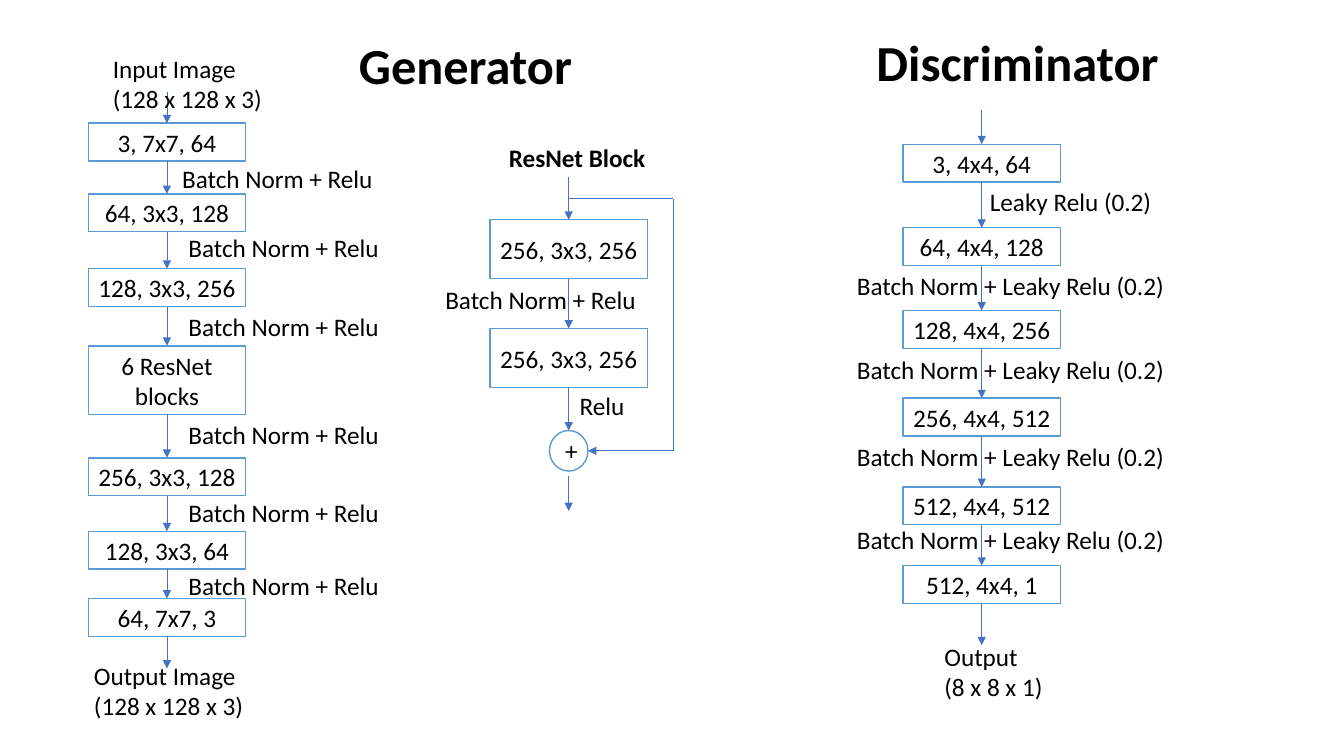
from collections import namedtuple

from lxml import etree
from pptx import Presentation
from pptx.dml.color import RGBColor
from pptx.enum.shapes import MSO_CONNECTOR, MSO_SHAPE
from pptx.enum.text import MSO_ANCHOR, MSO_AUTO_SIZE, PP_ALIGN
from pptx.oxml.ns import qn
from pptx.util import Pt

BLACK = RGBColor(0x00, 0x00, 0x00)
WHITE = RGBColor(0xFF, 0xFF, 0xFF)
OUTLINE = RGBColor(0x5B, 0x9B, 0xD5)
ARROW = RGBColor(0x44, 0x72, 0xC4)

RECTANGLE, OVAL = MSO_SHAPE.RECTANGLE, MSO_SHAPE.OVAL
STRAIGHT = MSO_CONNECTOR.STRAIGHT
MIDDLE, CENTER = MSO_ANCHOR.MIDDLE, PP_ALIGN.CENTER
GROW = MSO_AUTO_SIZE.SHAPE_TO_FIT_TEXT
TOP_SIDE, BOTTOM_SIDE = 0, 2

BODY = {"name": "Calibri", "size": Pt(18), "bold": False}
SUBTITLE = {**BODY, "bold": True}
TITLE = {**SUBTITLE, "size": Pt(36)}

LAYER_WIDTH, LAYER_HEIGHT = 112.5, 27
NORM_RELU = "Batch Norm + Relu"
NORM_LEAKY = "Batch Norm + Leaky Relu (0.2)"

Box = namedtuple("Box", "left top")


def style_text(para, look):
    """Apply font format values to a paragraph."""
    for name, value in look.items():
        setattr(para.font, name, value)
    para.font.color.rgb = BLACK


def add_label(page, box, text, left, top, width, height=29, look=BODY):
    """Write a text box at an offset from the region's corner."""
    label = page.shapes.add_textbox(
        Pt(box.left + left), Pt(box.top + top), Pt(width), Pt(height))
    frame = label.text_frame
    frame.word_wrap = True
    frame.auto_size = GROW
    frame.text = text
    style_text(frame.paragraphs[0], look)


def add_node(page, box, kind, text, left, top, width, height):
    """Draw an outlined node with centred text."""
    node = page.shapes.add_shape(
        kind, Pt(box.left + left), Pt(box.top + top), Pt(width), Pt(height))
    node.shadow.inherit = False
    node.fill.solid()
    node.fill.fore_color.rgb = WHITE
    node.line.color.rgb = OUTLINE
    node.line.width = Pt(1)
    frame = node.text_frame
    frame.word_wrap = True
    frame.vertical_anchor = MIDDLE
    frame.text = text
    para = frame.paragraphs[0]
    para.alignment = CENTER
    style_text(para, BODY)
    return node


def add_line(page, box, start, end, arrow=True):
    """Draw a thin line between two offsets in the region."""
    line = page.shapes.add_connector(
        STRAIGHT, Pt(box.left + start[0]), Pt(box.top + start[1]),
        Pt(box.left + end[0]), Pt(box.top + end[1]))
    line.line.color.rgb = ARROW
    line.line.width = Pt(0.5)
    if arrow:
        outline = line.line._get_or_add_ln()
        etree.SubElement(outline, qn("a:tailEnd"), type="triangle")
    etree.SubElement(line._element.spPr, qn("a:effectLst"))
    return line


def add_layers(page, box, left, layers, entry, leave):
    """Stack layers of (text, top, height) and join them with arrows."""
    middle = left + LAYER_WIDTH / 2
    nodes = [add_node(page, box, RECTANGLE, text, left, top, LAYER_WIDTH, height)
             for text, top, height in layers]
    starts = [entry] + [top + height for _, top, height in layers]
    ends = [top for _, top, _ in layers] + [leave]
    for start, end, above, below in zip(
            starts, ends, [None] + nodes, nodes + [None]):
        line = add_line(page, box, (middle, start), (middle, end))
        if above:
            line.begin_connect(above, BOTTOM_SIDE)
        if below:
            line.end_connect(below, TOP_SIDE)


def draw_generator(page, box):
    """Draw the generator column with its title."""
    layers = [("3, 7x7, 64", 68, LAYER_HEIGHT),
              ("64, 3x3, 128", 118.5, LAYER_HEIGHT),
              ("128, 3x3, 256", 172, LAYER_HEIGHT),
              ("6 ResNet blocks", 227, 49),
              ("256, 3x3, 128", 307, LAYER_HEIGHT),
              ("128, 3x3, 64", 359.5, LAYER_HEIGHT),
              ("64, 7x7, 3", 407.5, LAYER_HEIGHT)]
    add_layers(page, box, 3, layers, 46, 457.5)
    add_label(page, box, NORM_RELU, 63, 93, 168)
    for top in (142.7, 199, 276, 332, 384):
        add_label(page, box, NORM_RELU, 67.5, top, 168)
    add_label(page, box, "Input Image (128 x 128 x 3)", 13.5, 14.5, 134, 51)
    add_label(page, box, "Output Image (128 x 128 x 3)", 0, 448, 134, 51)
    add_label(page, box, "Generator", 189.3, 1, 297, 51, TITLE)


def draw_resnet_block(page, box):
    """Draw the residual block with its bypass."""
    left, circle_width, circle_height = 40, 27.5, 29
    middle = left + LAYER_WIDTH / 2
    circle_left, circle_top = middle - circle_width / 2, 212.5
    circle_middle = circle_top + circle_height / 2
    bypass_top, bypass_right = 47, 171
    layers = [("256, 3x3, 256", top, 42) for top in (62, 139.7)]
    add_layers(page, box, left, layers, 31.7, circle_top)
    add_node(page, box, OVAL, "+", circle_left, circle_top,
             circle_width, circle_height)
    bypass = [(middle, bypass_top), (bypass_right, bypass_top),
              (bypass_right, circle_middle),
              (circle_left + circle_width, circle_middle)]
    for start, end in zip(bypass, bypass[1:]):
        add_line(page, box, start, end, arrow=end == bypass[-1])
    add_line(page, box, (middle, 245), (middle, 270))
    add_label(page, box, NORM_RELU, 1, 104.4, 168)
    add_label(page, box, "Relu", 97, 180, 52.5)
    add_label(page, box, "ResNet Block", 46.4, 3, 150, look=SUBTITLE)


def draw_discriminator(page, box):
    """Draw the discriminator column with its title."""
    layers = [("3, 4x4, 64", 85, LAYER_HEIGHT),
              ("64, 4x4, 128", 144.7, LAYER_HEIGHT),
              ("128, 4x4, 256", 203.8, LAYER_HEIGHT),
              ("256, 4x4, 512", 266.4, LAYER_HEIGHT),
              ("512, 4x4, 512", 329.8, LAYER_HEIGHT),
              ("512, 4x4, 1", 386, LAYER_HEIGHT)]
    add_layers(page, box, 40, layers, 60.5, 442.8)
    add_label(page, box, "Leaky Relu (0.2)", 95, 111.6, 132)
    for top in (171.4, 231.8, 293.8, 352.8):
        add_label(page, box, NORM_LEAKY, 0, top, 240.5)
    add_label(page, box, "Output\v(8 x 8 x 1)", 62.5, 436.3, 88, 51)
    add_label(page, box, "Discriminator", 14, 0.7, 221, 51, TITLE)


def main():
    """Build the network diagram and save it."""
    deck = Presentation()
    deck.slide_width, deck.slide_height = Pt(960), Pt(540)
    page = deck.slides.add_slide(deck.slide_layouts[6])
    draw_generator(page, Box(60, 20))
    draw_resnet_block(page, Box(310, 95))
    draw_discriminator(page, Box(605, 18))
    deck.save("out.pptx")


if __name__ == "__main__":
    main()
